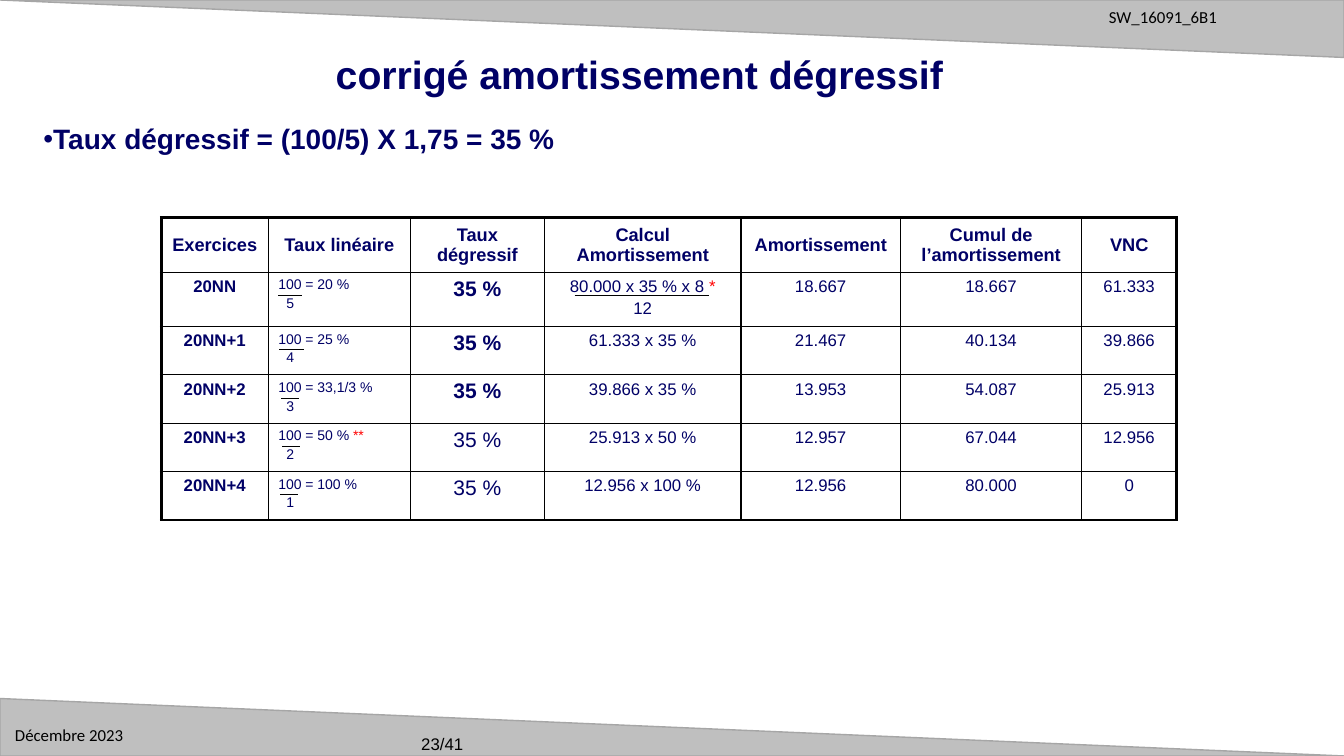
from itertools import accumulate

from lxml import etree
from pptx import Presentation
from pptx.dml.color import RGBColor
from pptx.enum.shapes import MSO_CONNECTOR, MSO_SHAPE
from pptx.enum.text import MSO_ANCHOR, MSO_AUTO_SIZE, PP_ALIGN
from pptx.oxml.ns import qn
from pptx.util import Inches, Pt

LEFT, CENTER = PP_ALIGN.LEFT, PP_ALIGN.CENTER
TOP, MIDDLE = MSO_ANCHOR.TOP, MSO_ANCHOR.MIDDLE
NO_FIT = MSO_AUTO_SIZE.NONE
TRIANGLE, STRAIGHT = MSO_SHAPE.ISOSCELES_TRIANGLE, MSO_CONNECTOR.STRAIGHT

NAVY, BLACK, RED = "000066", "000000", "FF0000"
THIN, THICK = 1, 2.25
COL_WIDTHS = [1.06, 1.41, 1.33, 1.95, 1.58, 1.8, 0.94]
ROW_HEIGHTS = [0.54, 0.54, 0.48, 0.48, 0.48, 0.48]
RATE_COL, DEGRESSIVE_COL, CALC_COL = 1, 2, 3
BAR_DROP = 0.23

HEADERS = ["Exercices", "Taux linéaire", "Taux dégressif", "Calcul Amortissement",
           "Amortissement", "Cumul de l’amortissement", "VNC"]
YEARS = [
    ["20NN", "100 = 20 %\n5", "35 %", "80.000 x 35 % x 8 *\n12", "18.667", "18.667", "61.333"],
    ["20NN+1", "100 = 25 %\n4", "35 %", "61.333 x 35 %", "21.467", "40.134", "39.866"],
    ["20NN+2", "100 = 33,1/3 %\n3", "35 %", "39.866 x 35 %", "13.953", "54.087", "25.913"],
    ["20NN+3", "100 = 50 % **\n2", "35 %", "25.913 x 50 %", "12.957", "67.044", "12.956"],
    ["20NN+4", "100 = 100 %\n1", "35 %", "12.956 x 100 %", "12.956", "80.000", "0"],
]
BARS = [(1, CALC_COL, 0.3, 1.33), (1, RATE_COL, 0.1, 0.24), (2, RATE_COL, 0.11, 0.25),
        (3, RATE_COL, 0.13, 0.18), (4, RATE_COL, 0.14, 0.18), (5, RATE_COL, 0.12, 0.18)]


def rgb(value):
    """Return the colour for a hex string."""
    return RGBColor.from_string(value)


def add_run(p, text, color=NAVY, **fmt):
    """Append a formatted run to a paragraph."""
    r = p.add_run()
    r.text = text
    for name, value in {"name": "Arial", "bold": False, **fmt}.items():
        setattr(r.font, name, value)
    r.font.color.rgb = rgb(color)


def place(sp, box):
    """Move a shape to a box given in inches."""
    for name, value in zip(("left", "top", "width", "height"), box):
        setattr(sp, name, Inches(value))


def add_band(slide, box, rotation):
    """Draw one grey wedge across the slide."""
    sp = slide.shapes.add_shape(TRIANGLE, *map(Inches, box))
    sp.adjustments[0] = 0
    sp.rotation = rotation
    sp.shadow.inherit = False
    sp.fill.solid()
    sp.fill.fore_color.rgb = rgb("BFBFBF")
    sp.line.color.rgb = rgb("A6A6A6")
    sp.line.width = Pt(1)


def add_label(slide, box, text, font):
    """Add a small black label."""
    tf = slide.shapes.add_textbox(*map(Inches, box)).text_frame
    tf.word_wrap = True
    add_run(tf.paragraphs[0], text, BLACK, name=font, size=Pt(12))


def fill_placeholder(sp, box, text, size, anchor, spacing):
    """Place a placeholder and write its single bold line."""
    place(sp, box)
    tf = sp.text_frame
    for name, value in {"auto_size": NO_FIT, "vertical_anchor": anchor, "word_wrap": True}.items():
        setattr(tf, name, value)
    p = tf.paragraphs[0]
    pPr = p._p.get_or_add_pPr()
    pPr.set("marL", "0")
    pPr.set("indent", "0")
    for name, value in {"alignment": LEFT, "space_before": Pt(0), "line_spacing": spacing}.items():
        setattr(p, name, value)
    add_run(p, text, size=Pt(size), bold=True)


def set_borders(cell, widths):
    """Give a cell black borders, widths in left, right, top, bottom order."""
    tcPr = cell._tc.get_or_add_tcPr()
    for i, (side, width) in enumerate(zip("LRTB", widths)):
        ln = etree.Element(qn(f"a:ln{side}"), w=str(Pt(width)))
        fill = etree.SubElement(ln, qn("a:solidFill"))
        etree.SubElement(fill, qn("a:srgbClr"), val=BLACK)
        tcPr.insert(i, ln)


def cell_format(row, col):
    """Return size, weight and alignment for a table cell."""
    if row == 0:
        return 13, True, CENTER
    if col == RATE_COL:
        return 10, False, LEFT
    if col == DEGRESSIVE_COL:
        return 15, row <= 3, CENTER
    return 12, col == 0, CENTER


def write_cell(cell, text, row, col):
    """Write the lines of a cell, with its stars in red."""
    size, bold, align = cell_format(row, col)
    cell.vertical_anchor = MIDDLE if row == 0 else TOP
    tf = cell.text_frame
    for i, line in enumerate(text.split("\n")):
        p = tf.add_paragraph() if i else tf.paragraphs[0]
        p.alignment = align
        if i:
            p.space_before = Pt(size * 0.2)
            if align == LEFT:
                p._p.get_or_add_pPr().set("marL", str(Inches(0.08)))
        body = line.rstrip("*")
        add_run(p, body, size=Pt(size), bold=bold)
        if body != line:
            add_run(p, line[len(body):], RED, size=Pt(size), bold=bold)


def add_bar(slide, x, y, width):
    """Draw a fraction bar."""
    cx = slide.shapes.add_connector(STRAIGHT, *map(Inches, (x, y, x + width, y)))
    cx.line.color.rgb = rgb(BLACK)
    cx.line.width = Pt(0.75)
    etree.SubElement(cx._element.spPr, qn("a:effectLst"))


def add_schedule(slide, left, top):
    """Build the depreciation table and its fraction bars."""
    rows = [HEADERS, *YEARS]
    last_row, last_col = len(rows) - 1, len(HEADERS) - 1
    size = sum(COL_WIDTHS), sum(ROW_HEIGHTS)
    table = slide.shapes.add_table(len(rows), len(HEADERS), *map(Inches, (left, top, *size))).table
    table.first_row = table.horz_banding = False
    for column, width in zip(table.columns, COL_WIDTHS):
        column.width = Inches(width)
    for r, (row, height) in enumerate(zip(rows, ROW_HEIGHTS)):
        table.rows[r].height = Inches(height)
        for c, text in enumerate(row):
            cell = table.cell(r, c)
            write_cell(cell, text, r, c)
            cell.fill.background()
            outer = (c == 0, c == last_col, r == 0, r == last_row)
            set_borders(cell, [THICK if edge else THIN for edge in outer])
    xs = list(accumulate(COL_WIDTHS, initial=left))
    ys = list(accumulate(ROW_HEIGHTS, initial=top))
    for r, c, offset, width in BARS:
        add_bar(slide, xs[c] + offset, ys[r] + BAR_DROP, width)


def main():
    """Build and save the slide."""
    prs = Presentation()
    prs.slide_width, prs.slide_height = Inches(13.33), Inches(7.5)
    slide = prs.slides.add_slide(prs.slide_layouts[1])
    add_band(slide, (0, 0, 13.33, 0.57), 180)
    add_band(slide, (0, 6.93, 13.33, 0.57), 0)
    add_label(slide, (4.08, 7.23, 3.33, 0.27), "23/41", "Arial")
    add_label(slide, (10.9, 0.02, 2.39, 0.3), "SW_16091_6B1", "Calibri")
    add_label(slide, (0.05, 7.14, 1.38, 0.3), "Décembre 2023", "Calibri")
    title, body = slide.placeholders
    fill_placeholder(title, (3.23, 0.44, 7.81, 0.58), "corrigé amortissement dégressif", 28, MIDDLE, 1.0)
    fill_placeholder(body, (0.33, 0.99, 9.02, 0.55), "Taux dégressif = (100/5) X 1,75 = 35 %", 20, TOP, 1.5)
    add_schedule(slide, 1.6, 2.16)
    prs.save("out.pptx")


if __name__ == "__main__":
    main()
